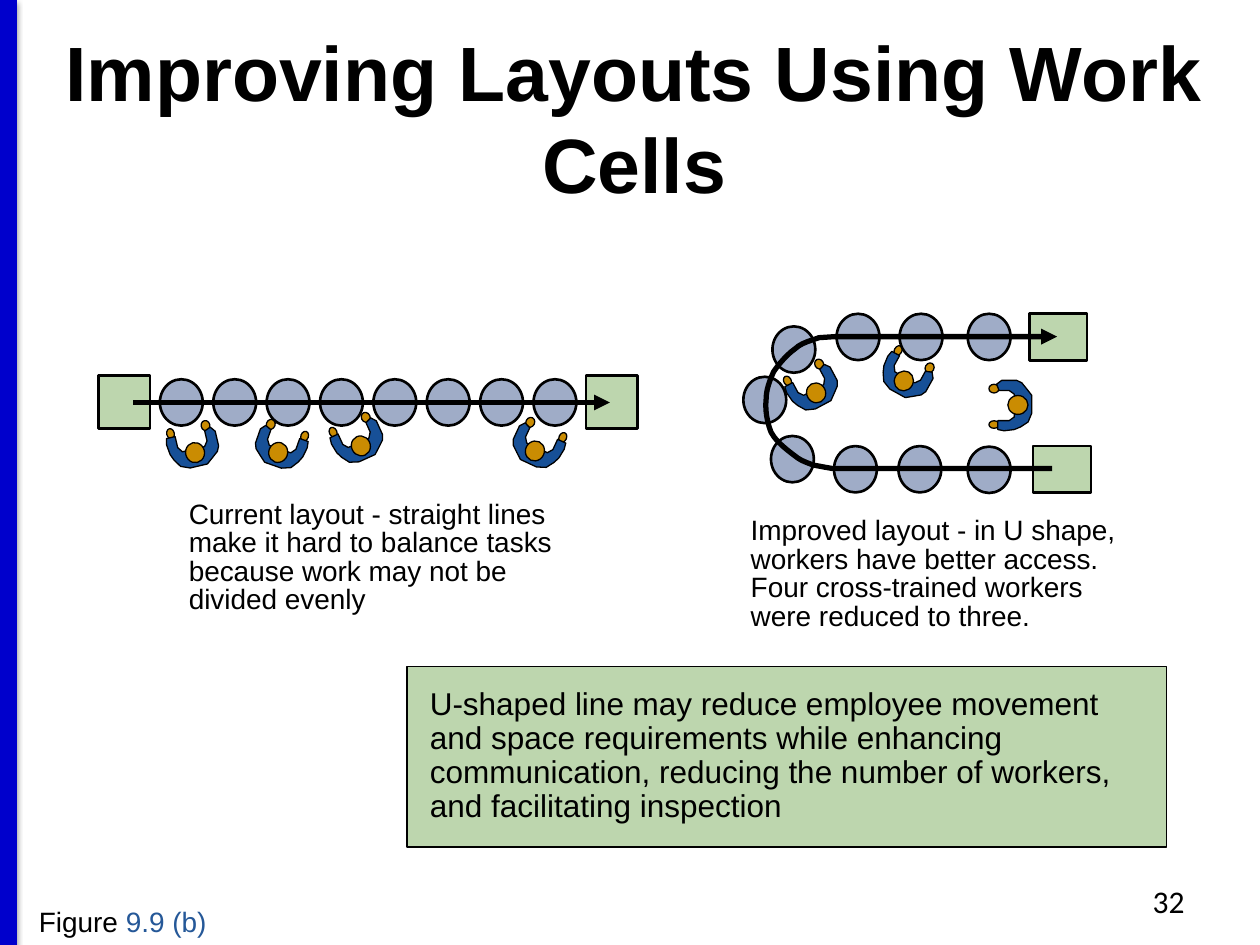
from dataclasses import dataclass
from math import cos, radians, sin

from lxml.etree import SubElement
from pptx import Presentation
from pptx.dml.color import RGBColor
from pptx.enum.shapes import MSO_CONNECTOR, MSO_SHAPE
from pptx.enum.text import MSO_ANCHOR, PP_ALIGN
from pptx.oxml.ns import qn
from pptx.util import Pt

BLACK, BLUE = "000000", "0000CC"
GREEN, MACHINE = "BDD6AE", "9FACC7"
SKIN, SHIRT, REFERENCE = "CA8C02", "175097", "255898"

# Worker facing left, in points from the centre of the body
SHIRT_OUTLINE = [
    (-9.7, -12.2), (-6.8, -14.4), (1.8, -14.4), (4.7, -13), (7.6, -9.4), (10.4, -5.8),
    (10.4, 4.3), (8.3, 9.4), (4, 12.2), (0.4, 13.7), (-5.4, 14.4), (-9, 13.7),
    (-9, 8.6), (-2.5, 8.6), (0.4, 6.5), (0.4, -6.5), (-2.5, -8.6), (-8.3, -8.6),
]
HANDS = [(-11.2, 10.8, 5.8, 4.3), (-11.2, -9.7, 5.8, 5)]
HEAD = (2.5, -0.4, 11.5, 10.8)

# The bend of the U: each row holds two control points and an end point
BEND_START = (468, 193)
BEND = [
    ((464.4, 194.4), (457.9, 195.8), (454.3, 199.4)),
    ((450, 202.3), (445, 208.1), (442.1, 212.4)),
    ((439.9, 217.4), (437.8, 222.5), (437.8, 228.2)),
    ((437, 234), (438.5, 241.9), (440.6, 247)),
    ((443.5, 252.7), (450.7, 257.8), (454.3, 260.6)),
    ((457.9, 263.5), (460.8, 264.2), (464.4, 265.7)),
    ((468, 266.4), (471.6, 267.1), (475.9, 267.8)),
]


@dataclass
class Box:
    left: float
    top: float
    width: float
    height: float

    def lengths(self) -> list:
        return [Pt(v) for v in (self.left, self.top, self.width, self.height)]


@dataclass
class Worker:
    x: float
    y: float
    angle: float
    mirrored: bool = False

    def place(self, dx: float, dy: float) -> tuple:
        """Turn an offset from the body centre into a slide position."""
        turn = radians(self.angle)
        dx = -dx if self.mirrored else dx
        return (self.x + dx * cos(turn) - dy * sin(turn),
                self.y + dx * sin(turn) + dy * cos(turn))


LINE_WORKERS = [Worker(204.8, 252.7, 65.5), Worker(307.1, 255.6, 294.9, True),
                Worker(110.5, 256.3, 76.9), Worker(160.2, 256.3, 289.3, True)]
CELL_WORKERS = [Worker(579.2, 231.8, 0), Worker(464.8, 222.5, 61.9),
                Worker(517.3, 215.3, 118.9)]
LINE_MACHINES = [(91.4 + 30.5 * i, 216.7) for i in range(8)]
CELL_MACHINES = [(478.1, 179.3), (514.1, 179.3), (553, 179.3), (441.4, 186.5),
                 (424.8, 215.3), (440.6, 249.1), (476.6, 254.9), (513.4, 254.9),
                 (553, 255.2)]
LINE_STATIONS = [Box(56.2, 214.6, 29.5, 30.2), Box(334.8, 214.6, 29.5, 30.2)]
CELL_STATIONS = [Box(588.2, 179.3, 33.1, 26.6), Box(590.4, 254.9, 33.1, 26.6)]


def color(code: str) -> RGBColor:
    return RGBColor.from_string(code)


def paint(shape, fill: str, weight: float) -> None:
    shape.shadow.inherit = False
    shape.fill.solid()
    shape.fill.fore_color.rgb = color(fill)
    shape.line.color.rgb = color(BLACK)
    shape.line.width = Pt(weight)


def add_preset(slide, preset, box: Box, fill: str, weight: float):
    shape = slide.shapes.add_shape(preset, *box.lengths())
    paint(shape, fill, weight)
    return shape


def add_outline(slide, points: list, close: bool):
    start, *rest = [(Pt(x), Pt(y)) for x, y in points]
    builder = slide.shapes.build_freeform(*start)
    builder.add_line_segments(rest, close=close)
    return builder.convert_to_shape()


def add_worker(slide, worker: Worker) -> None:
    def add_oval(dx: float, dy: float, width: float, height: float) -> None:
        x, y = worker.place(dx, dy)
        box = Box(x - width / 2, y - height / 2, width, height)
        add_preset(slide, MSO_SHAPE.OVAL, box, SKIN, 0.75).rotation = worker.angle

    for hand in HANDS:
        add_oval(*hand)
    shirt = add_outline(slide, [worker.place(*p) for p in SHIRT_OUTLINE], True)
    paint(shirt, SHIRT, 0.75)
    add_oval(*HEAD)


def add_line(slide, start: tuple, end: tuple, code: str, weight: float):
    """Add a straight line and return it with its empty effect list."""
    line = slide.shapes.add_connector(MSO_CONNECTOR.STRAIGHT,
                                      *[Pt(v) for v in start + end])
    line.line.color.rgb = color(code)
    line.line.width = Pt(weight)
    return line, SubElement(line._element.spPr, qn("a:effectLst"))


def add_arrowhead(shape, end: str) -> None:
    SubElement(shape.line._get_or_add_ln(), qn(f"a:{end}"), type="triangle")


def curve_points(start: tuple, segments: list, steps: int = 6) -> list:
    points = [start]
    for control_1, control_2, end in segments:
        begin = points[-1]
        for step in range(1, steps + 1):
            t = step / steps
            points.append(tuple(
                a * (1 - t) ** 3 + 3 * b * t * (1 - t) ** 2 + 3 * c * t * t * (1 - t) + d * t ** 3
                for a, b, c, d in zip(begin, control_1, control_2, end)))
    return points


def add_stage(slide, workers: list, stations: list, machines: list) -> None:
    for worker in workers:
        add_worker(slide, worker)
    for station in stations:
        add_preset(slide, MSO_SHAPE.RECTANGLE, station, GREEN, 1.5)
    for left, top in machines:
        add_preset(slide, MSO_SHAPE.OVAL, Box(left, top, 24.5, 26.5), MACHINE, 1.5)


def write(shape, runs: list, size: float, font: str = "Arial", bold: bool = False,
          align=PP_ALIGN.LEFT, anchor=MSO_ANCHOR.TOP, spacing: float = 1.0,
          wrap: bool = True) -> None:
    frame = shape.text_frame
    frame.word_wrap = wrap
    frame.vertical_anchor = anchor
    paragraph = frame.paragraphs[0]
    paragraph.alignment = align
    paragraph.line_spacing = spacing
    for words, code in runs:
        run = paragraph.add_run()
        run.text = words
        run.font.name, run.font.size, run.font.bold = font, Pt(size), bold
        run.font.color.rgb = color(code)


def add_text(slide, box: Box, runs: list, size: float, **style) -> None:
    write(slide.shapes.add_textbox(*box.lengths()), runs, size, **style)


def main() -> None:
    deck = Presentation()
    deck.slide_width, deck.slide_height = Pt(720), Pt(540)
    slide = deck.slides.add_slide(deck.slide_layouts[6])

    _, effects = add_line(slide, (5, 0), (5, 540), BLUE, 10)
    shadow = SubElement(effects, qn("a:outerShdw"), blurRad=str(Pt(3.1)),
                        dist=str(Pt(1.6)), dir="5400000", rotWithShape="0")
    shade = SubElement(shadow, qn("a:srgbClr"), val=BLACK)
    SubElement(shade, qn("a:alpha"), val="38000")

    add_text(slide, Box(5, 21.6, 715, 90), [("Improving Layouts Using Work Cells", BLACK)],
             44, bold=True, align=PP_ALIGN.CENTER, anchor=MSO_ANCHOR.MIDDLE)
    add_text(slide, Box(516, 500.4, 168, 28.8), [("32", BLACK)], 18,
             font="Calibri", align=PP_ALIGN.RIGHT)
    add_text(slide, Box(100.8, 283, 234.7, 73.4),
             [("Current layout - straight lines make it hard to balance tasks "
               "because work may not be divided evenly", BLACK)], 16, spacing=0.85)
    add_text(slide, Box(421.9, 292.3, 226.8, 73.4),
             [("Improved layout - in U shape, workers have better access. "
               "Four cross-trained workers were reduced to three.", BLACK)], 16, spacing=0.85)

    add_stage(slide, CELL_WORKERS, CELL_STATIONS, CELL_MACHINES)
    u_flow = add_outline(slide, [(604, 192.4), (477, 192.4),
                                 *curve_points(BEND_START, BEND), (601.2, 267.8)], False)
    paint(u_flow, BLACK, 3)
    u_flow.fill.background()
    add_arrowhead(u_flow, "headEnd")

    add_stage(slide, LINE_WORKERS, LINE_STATIONS, LINE_MACHINES)
    straight_flow, _ = add_line(slide, (76.3, 230), (348.5, 230), BLACK, 3)
    add_arrowhead(straight_flow, "tailEnd")

    add_text(slide, Box(15.1, 513.4, 111.6, 26.6),
             [("Figure ", BLACK), ("9.9 (b)", REFERENCE)], 16, wrap=False)

    benefit = add_preset(slide, MSO_SHAPE.RECTANGLE, Box(232.6, 381, 434.2, 103), GREEN, 0.75)
    frame = benefit.text_frame
    frame.margin_left = frame.margin_right = Pt(13)
    frame.margin_top = frame.margin_bottom = Pt(12.2)
    write(benefit, [("U-shaped line may reduce employee movement and space requirements "
                     "while enhancing communication, reducing the number of workers, "
                     "and facilitating inspection", BLACK)], 18, spacing=0.9)

    deck.save("out.pptx")


if __name__ == "__main__":
    main()
